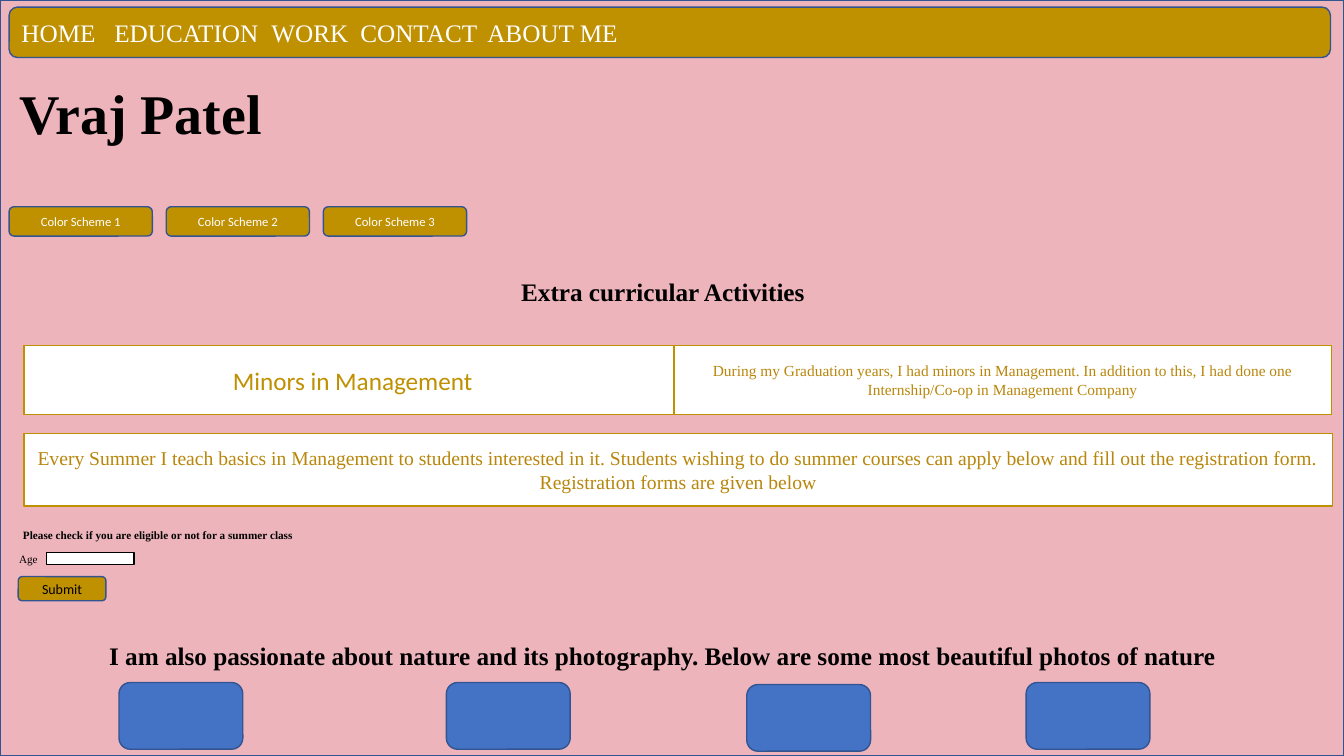
from dataclasses import dataclass

import lxml.etree
import pptx
import pptx.dml.color
import pptx.enum.shapes
import pptx.enum.text
import pptx.oxml.ns
import pptx.util

Cm = pptx.util.Cm
RGBColor = pptx.dml.color.RGBColor
Shape = pptx.enum.shapes.MSO_SHAPE
Align = pptx.enum.text.PP_ALIGN
Anchor = pptx.enum.text.MSO_ANCHOR
AutoSize = pptx.enum.text.MSO_AUTO_SIZE

PINK = RGBColor(0xEE, 0xB4, 0xBC)
GOLD = RGBColor(0xBF, 0x90, 0x00)
DARK_GOLD = RGBColor(0xB8, 0x86, 0x0B)
NAVY = RGBColor(0x32, 0x54, 0x91)
BLUE = RGBColor(0x44, 0x72, 0xC4)
WHITE = RGBColor(0xFF, 0xFF, 0xFF)
BLACK = RGBColor(0x00, 0x00, 0x00)
SERIF = "Times New Roman"
SANS = "Calibri"
WIDTH, HEIGHT = 33.87, 19.05


@dataclass(frozen=True)
class Area:
    left: float
    top: float
    width: float
    height: float


@dataclass(frozen=True)
class Label:
    text: str
    size: float
    color: RGBColor = BLACK
    name: str = SERIF
    bold: bool = False
    align: Align = Align.CENTER


@dataclass(frozen=True)
class Panel:
    area: Area
    fill: RGBColor = GOLD
    line: RGBColor = NAVY
    shape: Shape = Shape.ROUNDED_RECTANGLE
    label: Label | None = None


@dataclass(frozen=True)
class Caption:
    area: Area
    label: Label


NAV = Panel(Area(0.23, 0.18, 33.3, 1.27),
            label=Label("HOME\tEDUCATION\tWORK\tCONTACT\tABOUT ME", 18, WHITE, align=Align.LEFT))
NAV_TABS = (2.34, 6.3, 8.54, 11.74)

TITLE = Caption(Area(0.23, 1.85, 16.94, 1.96), Label("Vraj Patel", 40, bold=True, align=Align.LEFT))

SCHEMES = [
    Panel(Area(0.23 + 3.96 * index, 5.21, 3.61, 0.74),
          label=Label(f"Color Scheme {index + 1}", 9, WHITE, SANS))
    for index in range(3)
]

CARDS = [
    Panel(area, WHITE, GOLD, Shape.RECTANGLE, label)
    for area, label in (
        (Area(0.61, 8.71, 16.56, 1.73), Label("Minors in Management", 18, GOLD, SANS)),
        (Area(16.99, 8.71, 16.56, 1.73),
         Label("During my Graduation years, I had minors in Management. In addition to this, "
               "I had done one Internship/Co-op in Management Company", 11, DARK_GOLD)),
        (Area(0.61, 10.92, 32.97, 1.83),
         Label("Every Summer I teach basics in Management to students interested in it. "
               "Students wishing to do summer courses can apply below and fill out the "
               "registration form. Registration forms are given below", 14, DARK_GOLD)),
    )
]

FORM = [
    Panel(Area(1.17, 13.92, 2.21, 0.3), WHITE, BLACK, Shape.RECTANGLE),
    Panel(Area(0.46, 14.53, 2.21, 0.61), label=Label("Submit", 10, BLACK, SANS)),
]

PHOTOS = [
    Panel(Area(left, top, 3.12, 1.68), BLUE)
    for left, top in ((3.0, 17.2), (11.25, 17.2), (18.82, 17.25), (25.86, 17.2))
]

CAPTIONS = [
    Caption(Area(8.15, 6.83, 17.12, 1.02), Label("Extra curricular Activities", 18, bold=True)),
    Caption(Area(0.33, 13.18, 17.12, 0.61),
            Label("Please check if you are eligible or not for a summer class", 8,
                  bold=True, align=Align.LEFT)),
    Caption(Area(0.23, 13.79, 1.32, 0.61), Label("Age", 8, align=Align.LEFT)),
    Caption(Area(-0.08, 16, 33.55, 1.02),
            Label("I am also passionate about nature and its photography. "
                  "Below are some most beautiful photos of nature", 18, bold=True)),
]


def lengths(area: Area) -> dict[str, int]:
    return {side: Cm(getattr(area, side)) for side in ("left", "top", "width", "height")}


def write(box, label: Label, anchor: Anchor, auto_size: AutoSize) -> None:
    frame = box.text_frame
    frame_format = {"word_wrap": True, "vertical_anchor": anchor, "auto_size": auto_size}
    for key, value in frame_format.items():
        setattr(frame, key, value)
    para = frame.paragraphs[0]
    para.alignment = label.align
    span = para.add_run()
    span.text = label.text
    for key in ("size", "name", "bold"):
        value = getattr(label, key)
        setattr(span.font, key, pptx.util.Pt(value) if key == "size" else value)
    span.font.color.rgb = label.color


def add_panel(page, panel: Panel):
    box = page.shapes.add_shape(panel.shape, **lengths(panel.area))
    box.shadow.inherit = False
    box.fill.solid()
    box.fill.fore_color.rgb = panel.fill
    box.line.color.rgb = panel.line
    box.line.width = pptx.util.Pt(1)
    if panel.label:
        write(box, panel.label, Anchor.MIDDLE, AutoSize.NONE)
    return box


def add_caption(page, caption: Caption) -> None:
    box = page.shapes.add_textbox(**lengths(caption.area))
    write(box, caption.label, Anchor.TOP, AutoSize.SHAPE_TO_FIT_TEXT)


def place_title(page, caption: Caption, backdrop) -> None:
    """Format the title placeholder and bring it in front of the backdrop."""
    title = page.shapes.title
    for key, value in lengths(caption.area).items():
        setattr(title, key, value)
    write(title, caption.label, Anchor.TOP, AutoSize.SHAPE_TO_FIT_TEXT)
    backdrop.element.addnext(title.element)


def set_tabs(para, stops: tuple[float, ...]) -> None:
    qn = pptx.oxml.ns.qn
    properties = para._p.get_or_add_pPr()
    tabs = lxml.etree.SubElement(properties, qn("a:tabLst"))
    for stop in stops:
        lxml.etree.SubElement(tabs, qn("a:tab"), pos=str(int(Cm(stop))), algn="l")


def main() -> None:
    deck = pptx.Presentation()
    deck.slide_width, deck.slide_height = Cm(WIDTH), Cm(HEIGHT)
    page = deck.slides.add_slide(deck.slide_layouts.get_by_name("Title Only"))

    backdrop = add_panel(page, Panel(Area(0, 0, WIDTH, HEIGHT), PINK, shape=Shape.RECTANGLE))
    place_title(page, TITLE, backdrop)
    nav = add_panel(page, NAV)
    set_tabs(nav.text_frame.paragraphs[0], NAV_TABS)
    for panel in SCHEMES + CARDS + FORM + PHOTOS:
        add_panel(page, panel)
    for caption in CAPTIONS:
        add_caption(page, caption)

    deck.save("out.pptx")


if __name__ == "__main__":
    main()
